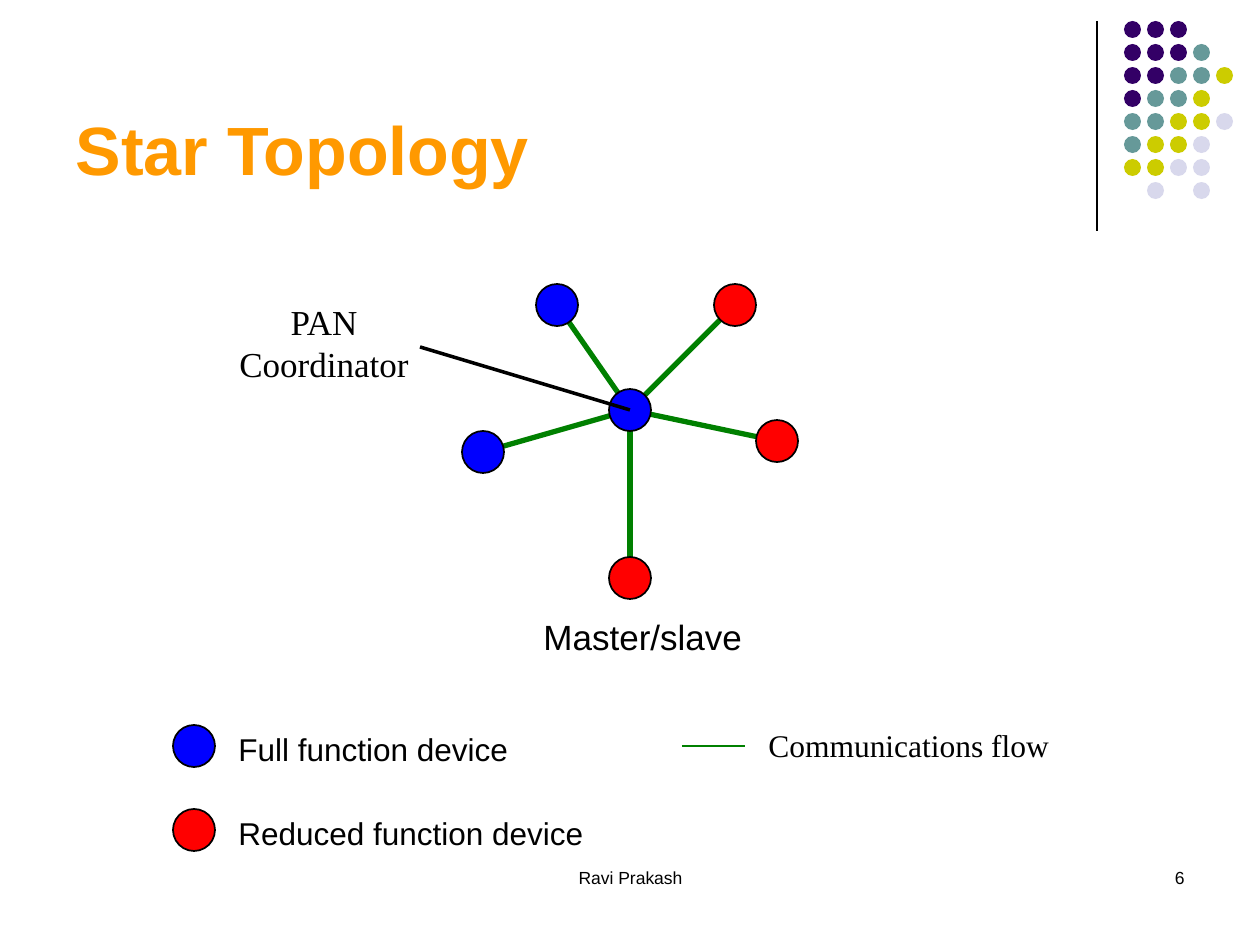
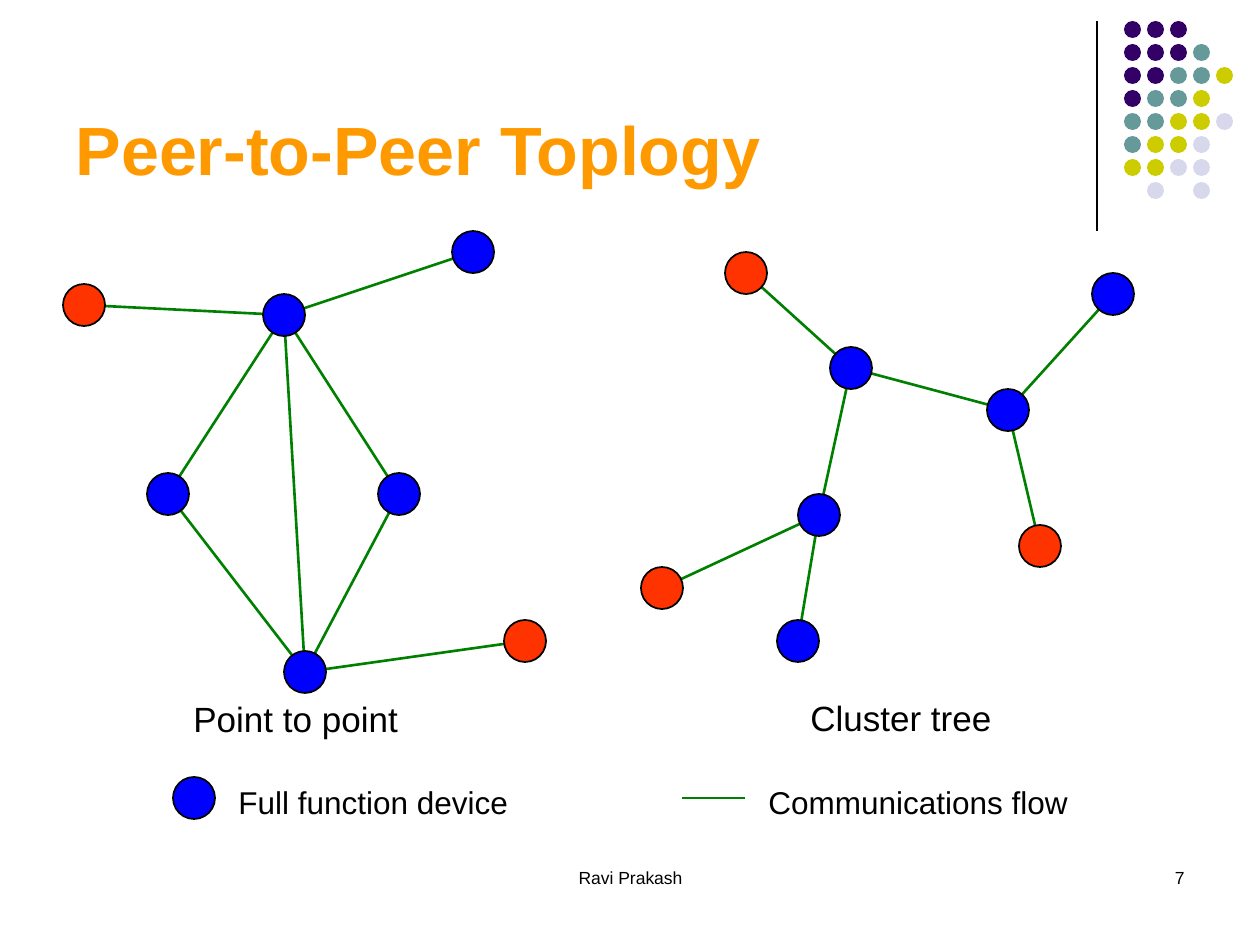
from lxml import etree
from pptx import Presentation
from pptx import util as u
from pptx.dml.color import RGBColor
from pptx.enum import shapes, text
from pptx.oxml import ns

PX = 7257
NODE = 42
DOT, DOT_STEP = 17, 23
BLACK, GREEN, BLUE, ORANGE = "000000", "008000", "0000FF", "FF9900"
SANS, SERIF = "Arial", "Times New Roman"
LEFT, CENTER, RIGHT = text.PP_ALIGN.LEFT, text.PP_ALIGN.CENTER, text.PP_ALIGN.RIGHT
DOT_COLOURS = {"P": "330066", "T": "669999", "Y": "CCCC00", "L": "D8D8EC"}
DOT_ROWS = ["PPP", "PPPT", "PPTTY", "PTTY", "TTYYL", "TYYL", "YYLL", " L L"]


def add_line(slide, start, end, colour, width):
    ends = [value * PX for value in (*start, *end)]
    line = slide.shapes.add_connector(shapes.MSO_CONNECTOR.STRAIGHT, *ends)
    line.line.color.rgb = RGBColor.from_string(colour)
    line.line.width = u.Pt(width)
    etree.SubElement(line.element.spPr, ns.qn("a:effectLst"))
    return line


def add_text(slide, words, box, size, font=SANS, align=LEFT, wrap=False):
    frame = slide.shapes.add_textbox(*[value * PX for value in box]).text_frame
    frame.text = words
    frame.word_wrap = wrap
    if not wrap:
        frame.auto_size = text.MSO_AUTO_SIZE.SHAPE_TO_FIT_TEXT
    for paragraph in frame.paragraphs:
        paragraph.alignment = align
        paragraph.font.size = u.Pt(size)
        for run in paragraph.runs:
            run.font.size = u.Pt(size)
            run.font.name = font
            run.font.color.rgb = RGBColor.from_string(BLACK)


topologies = [
    {
        "title": "Star Topology",
        "number": 6,
        "nodes": {
            "hub": (630, 410), "left": (483, 452), "bottom": (630, 578),
            "top left": (557, 305), "top right": (735, 305), "right": (777, 441),
            "full key": (194, 746), "reduced key": (194, 830),
        },
        "reduced": ["bottom", "top right", "right", "reduced key"],
        "reduced colour": "FF0000",
        "edges": [("hub", name) for name in
                  ("left", "bottom", "top left", "top right", "right")],
        "edge width": 3,
        "key line": 746,
        "labels": [
            ("Full function device", (226, 724, 304, 50), 18, SANS, LEFT),
            ("Reduced function device", (226, 808, 380, 50), 18, SANS, LEFT),
            ("Communications flow", (756, 720, 316, 50), 18, SERIF, LEFT),
            ("Master/slave", (531, 609, 234, 55), 20, SANS, LEFT),
            ("PAN\nCoordinator", (219, 294, 210, 97), 20, SERIF, CENTER),
        ],
        "pointers": [((420, 347), (630, 410))],
    },
    {
        "title": "Peer-to-Peer Toplogy",
        "number": 7,
        "nodes": {
            "top": (284, 315), "left": (168, 494), "right": (399, 494),
            "bottom": (305, 672), "far left": (84, 305),
            "far top": (473, 252), "far right": (525, 641),
            "root": (851, 368), "branch": (819, 515), "fork": (1008, 410),
            "root leaf": (746, 273), "branch leaf": (662, 588),
            "branch end": (798, 641), "fork leaf": (1040, 546),
            "fork end": (1113, 294), "full key": (194, 798),
        },
        "reduced": ["far left", "far right", "root leaf", "branch leaf", "fork leaf"],
        "reduced colour": "FF3300",
        "edges": [
            ("top", "left"), ("top", "right"), ("top", "bottom"),
            ("bottom", "left"), ("bottom", "right"),
            ("top", "far left"), ("top", "far top"), ("bottom", "far right"),
            ("root", "root leaf"), ("root", "branch"), ("root", "fork"),
            ("branch", "branch leaf"), ("branch", "branch end"),
            ("fork", "fork leaf"), ("fork", "fork end"),
        ],
        "edge width": 1.5,
        "key line": 798,
        "labels": [
            ("Full function device", (226, 777, 304, 50), 18, SANS, LEFT),
            ("Communications flow", (756, 777, 336, 50), 18, SANS, LEFT),
            ("Point to point", (181, 691, 240, 55), 20, SANS, LEFT),
            ("Cluster tree", (798, 690, 217, 55), 20, SANS, LEFT),
        ],
        "pointers": [],
    },
]

presentation = Presentation()
presentation.slide_width = u.Inches(10)
presentation.slide_height = u.Inches(7.5)
layout = presentation.slide_layouts[5]
for placeholder in list(layout.placeholders):
    if placeholder.placeholder_format.type != shapes.PP_PLACEHOLDER.TITLE:
        placeholder.element.getparent().remove(placeholder.element)
slides = [presentation.slides.add_slide(layout) for topology in topologies]

divider = add_line(slides[0], (1097, 21), (1097, 231), BLACK, 0.75)
dots = slides[0].shapes.add_group_shape()
for row, letters in enumerate(DOT_ROWS):
    for column, letter in enumerate(letters):
        if letter in DOT_COLOURS:
            dot = dots.shapes.add_shape(
                shapes.MSO_SHAPE.OVAL,
                (1124 + column * DOT_STEP) * PX, (21 + row * DOT_STEP) * PX,
                DOT * PX, DOT * PX)
            dot.shadow.inherit = False
            dot.fill.solid()
            dot.fill.fore_color.rgb = RGBColor.from_string(DOT_COLOURS[letter])
            dot.line.fill.background()
for decoration in (divider, dots):
    layout.shapes.element.append(decoration.element)
for number, properties in enumerate(layout.shapes.element.iter(ns.qn("p:cNvPr")), 1):
    properties.set("id", str(number))

for slide, topology in zip(slides, topologies):
    title = slide.shapes.title
    title.left, title.top, title.width, title.height = [
        value * PX for value in (63, 16, 1040, 179)]
    title.text_frame.text = topology["title"]
    title.text_frame.vertical_anchor = text.MSO_ANCHOR.BOTTOM
    title.text_frame.auto_size = text.MSO_AUTO_SIZE.NONE
    paragraph = title.text_frame.paragraphs[0]
    paragraph.alignment = LEFT
    font = paragraph.runs[0].font
    font.name, font.size, font.bold = SANS, u.Pt(39), True
    font.color.rgb = RGBColor.from_string(ORANGE)

    add_text(slide, "Ravi Prakash", (431, 861, 399, 63), 10, align=CENTER, wrap=True)
    add_text(slide, str(topology["number"]), (903, 861, 294, 63), 10,
             align=RIGHT, wrap=True)

    nodes = topology["nodes"]
    for start, end in topology["edges"]:
        add_line(slide, nodes[start], nodes[end], GREEN, topology["edge width"])
    key_line = topology["key line"]
    add_line(slide, (682, key_line), (745, key_line), GREEN, 1.5)

    for name, (x, y) in nodes.items():
        node = slide.shapes.add_shape(
            shapes.MSO_SHAPE.OVAL, (x - NODE // 2) * PX, (y - NODE // 2) * PX,
            NODE * PX, NODE * PX)
        colour = topology["reduced colour"] if name in topology["reduced"] else BLUE
        node.shadow.inherit = False
        node.fill.solid()
        node.fill.fore_color.rgb = RGBColor.from_string(colour)
        node.line.color.rgb = RGBColor.from_string(BLACK)
        node.line.width = u.Pt(1)

    for label in topology["labels"]:
        add_text(slide, *label)
    for start, end in topology["pointers"]:
        add_line(slide, start, end, BLACK, 2)

presentation.save("out.pptx")
